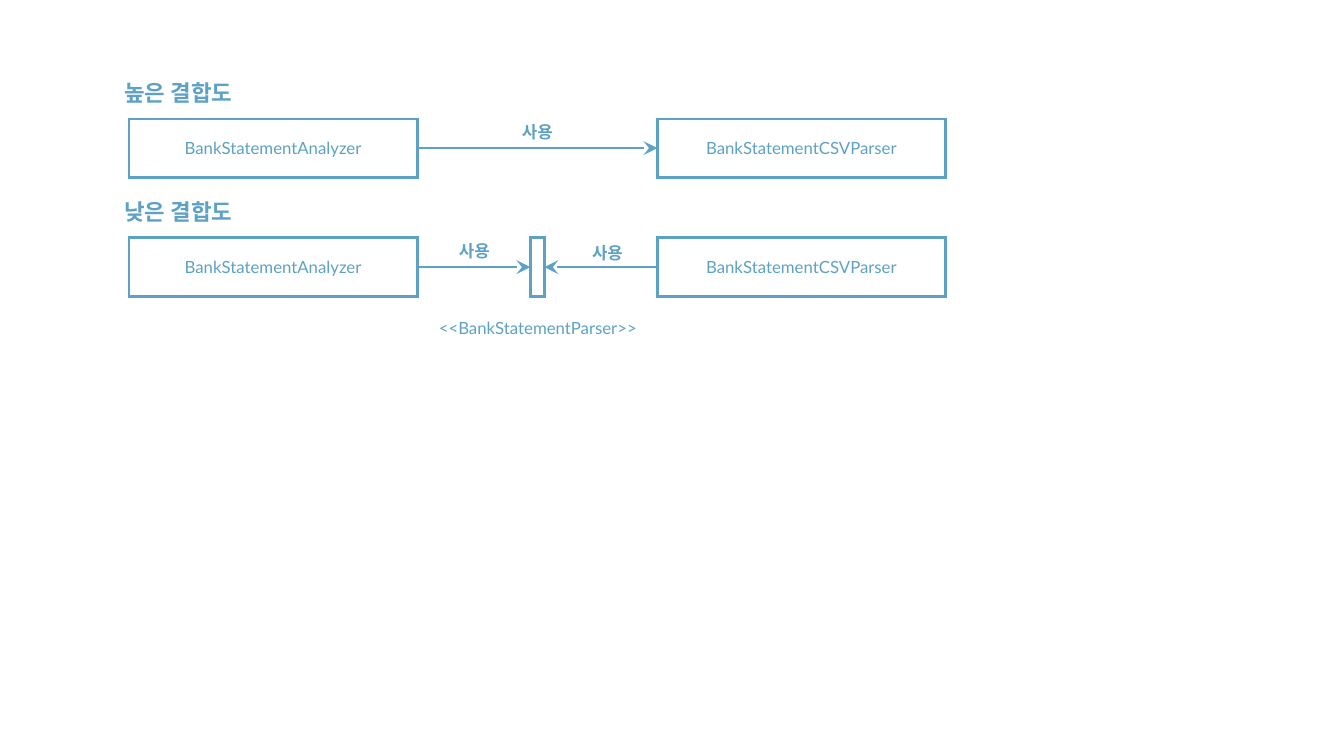
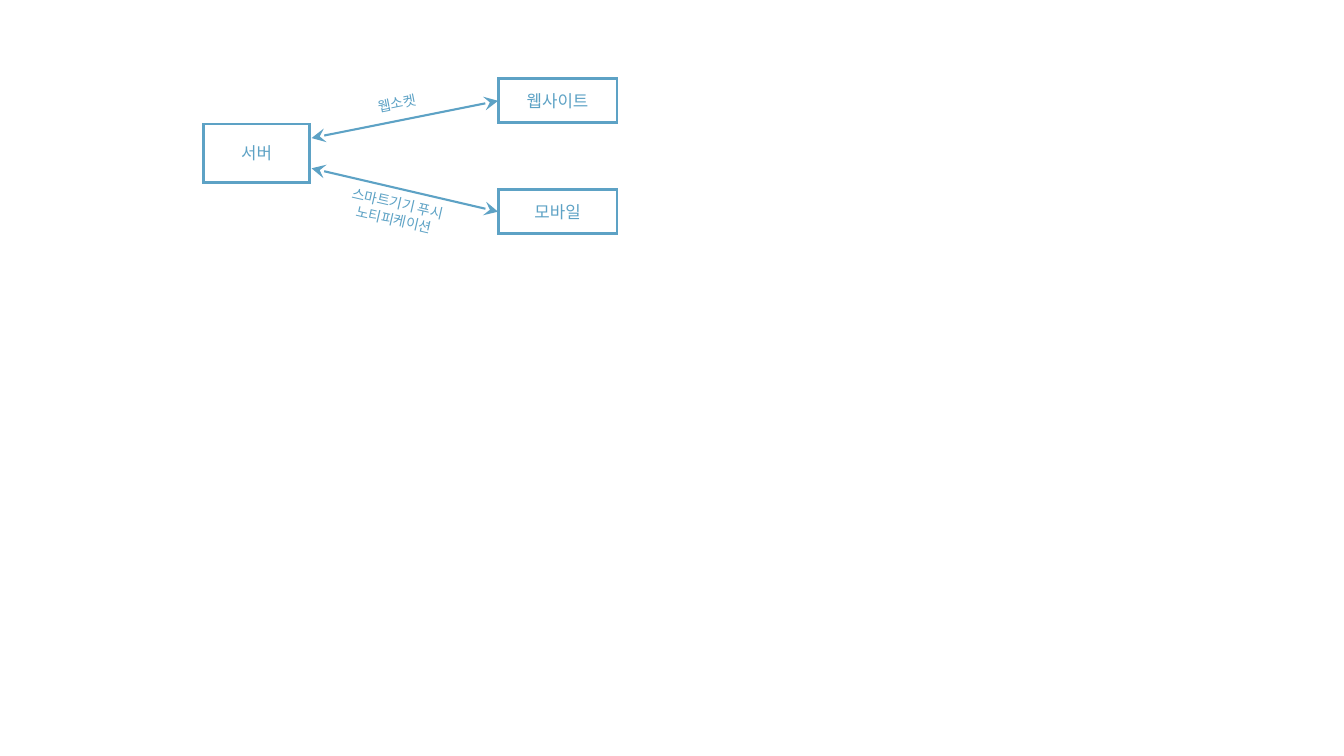
import pptx
import pptx.util
import pptx.dml.color
import pptx.enum.shapes
import pptx.enum.text
import pptx.oxml.ns
import lxml.etree

Inches = pptx.util.Inches
Pt = pptx.util.Pt
COLORS = {"accent": "5DA2C5", "page": "FFFFFF"}
BODY = {"name": "Lato", "size": Pt(12), "bold": False}
SMALL = {**BODY, "size": Pt(10)}
STRONG = {**BODY, "bold": True}
HEADING = {**STRONG, "size": Pt(16)}
ARROWHEAD = {"type": "stealth", "w": "lg", "len": "lg"}


def rgb(key):
    return pptx.dml.color.RGBColor.from_string(COLORS[key])


def add_page(deck):
    page = deck.slides.add_slide(deck.slide_layouts[6])
    page.background.fill.solid()
    page.background.fill.fore_color.rgb = rgb("page")
    return page


def add_element(parent, name, attributes=None):
    lxml.etree.SubElement(parent, pptx.oxml.ns.qn("a:" + name), attributes or {})


def draw_line(shape, width):
    shape.line.color.rgb = rgb("accent")
    shape.line.width = Pt(width)
    line = shape.line._get_or_add_ln()
    add_element(line, "miter", {"lim": "800000"})
    return line


def write_text(frame, text, style):
    frame.word_wrap = True
    para = frame.paragraphs[0]
    para.alignment = pptx.enum.text.PP_ALIGN.CENTER
    for index, words in enumerate(text.split("\n")):
        if index:
            para.add_line_break()
        span = para.add_run()
        span.text = words
        for name, value in style.items():
            setattr(span.font, name, value)
        span.font.color.rgb = rgb("accent")


def add_box(page, left, top, width, height, text=""):
    box = page.shapes.add_shape(
        pptx.enum.shapes.MSO_SHAPE.RECTANGLE,
        Inches(left), Inches(top), Inches(width), Inches(height))
    box.shadow.inherit = False
    box.fill.background()
    draw_line(box, 2)
    if text:
        box.text_frame.vertical_anchor = pptx.enum.text.MSO_ANCHOR.MIDDLE
        write_text(box.text_frame, text, BODY)


def add_label(page, left, top, width, height, text, style, rotation=0):
    box = page.shapes.add_textbox(
        Inches(left), Inches(top), Inches(width), Inches(height))
    box.rotation = rotation
    box.text_frame.auto_size = pptx.enum.text.MSO_AUTO_SIZE.SHAPE_TO_FIT_TEXT
    write_text(box.text_frame, text, style)


def add_arrow(page, start, end, ends=("tailEnd",)):
    arrow = page.shapes.add_connector(
        pptx.enum.shapes.MSO_CONNECTOR.STRAIGHT,
        *[Inches(value) for value in (*start, *end)])
    line = draw_line(arrow, 1.5)
    for name in ends:
        add_element(line, name, ARROWHEAD)
    add_element(arrow._element.spPr, "effectLst")


def build_coupling(deck):
    page = add_page(deck)
    analyzer_left, parser_left, width, height = 1.28, 6.52, 2.86, 0.58
    analyzer_right = analyzer_left + width
    high_top, low_top = 1.18, 2.36
    for top, heading in ((high_top, "높은 결합도"), (low_top, "낮은 결합도")):
        add_label(page, 0.95, top - 0.44, 1.64, 0.37, heading, HEADING)
        add_box(page, analyzer_left, top, width, height, "BankStatementAnalyzer")
        add_box(page, parser_left, top, width, height, "BankStatementCSVParser")

    high_middle, low_middle = high_top + height / 2, low_top + height / 2
    add_arrow(page, (analyzer_right, high_middle), (parser_left, high_middle))

    interface_left, interface_width = 5.26, 0.14
    add_box(page, interface_left, low_top, interface_width, height)
    add_arrow(page, (analyzer_right, low_middle), (interface_left, low_middle))
    add_arrow(page, (parser_left, low_middle),
              (interface_left + interface_width, low_middle))
    for left, top, label_width in (
            (4.44, 1.16, 1.78), (4.41, 2.34, 0.59), (5.73, 2.36, 0.59)):
        add_label(page, left, top, label_width, 0.3, "사용", STRONG)
    add_label(page, 4.09, 3.1, 2.49, 0.3, "<<BankStatementParser>>", BODY)


def build_notification(deck):
    page = add_page(deck)
    add_box(page, 2.02, 1.23, 1.05, 0.58, "서버")
    client_left, client_height = 4.94, 0.44
    for client, top, server_y in (("웹사이트", 0.78, 1.37), ("모바일", 1.88, 1.67)):
        add_box(page, client_left, top, 1.18, client_height, client)
        add_arrow(page, (3.09, server_y), (client_left, top + client_height / 2),
                  ("headEnd", "tailEnd"))
    add_label(page, 3.47, 0.89, 0.94, 0.27, "웹소켓", SMALL, 348.7)
    add_label(page, 2.96, 1.88, 1.92, 0.48, "스마트기기 푸시\n노티피케이션", SMALL, 13)


def main():
    deck = pptx.Presentation()
    deck.slide_width = Inches(13.33)
    deck.slide_height = Inches(7.5)
    build_coupling(deck)
    build_notification(deck)
    deck.save("out.pptx")


main()
